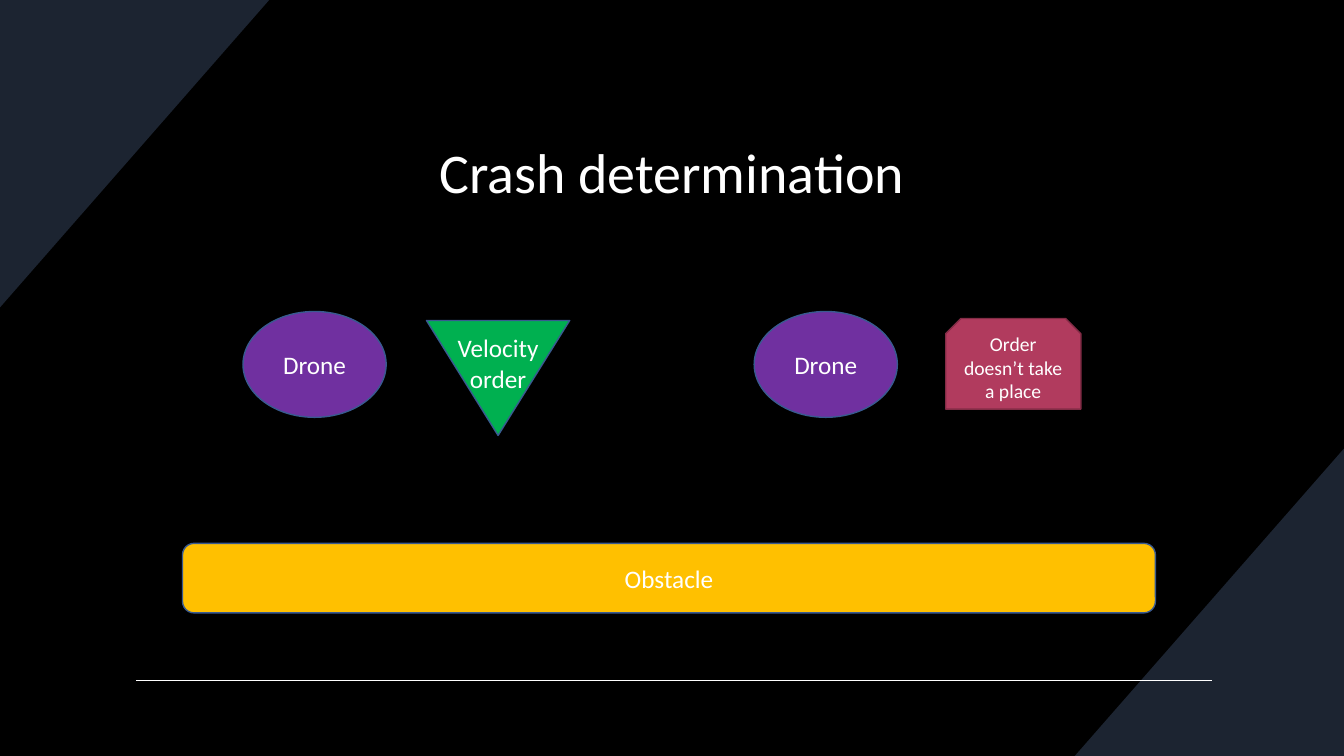
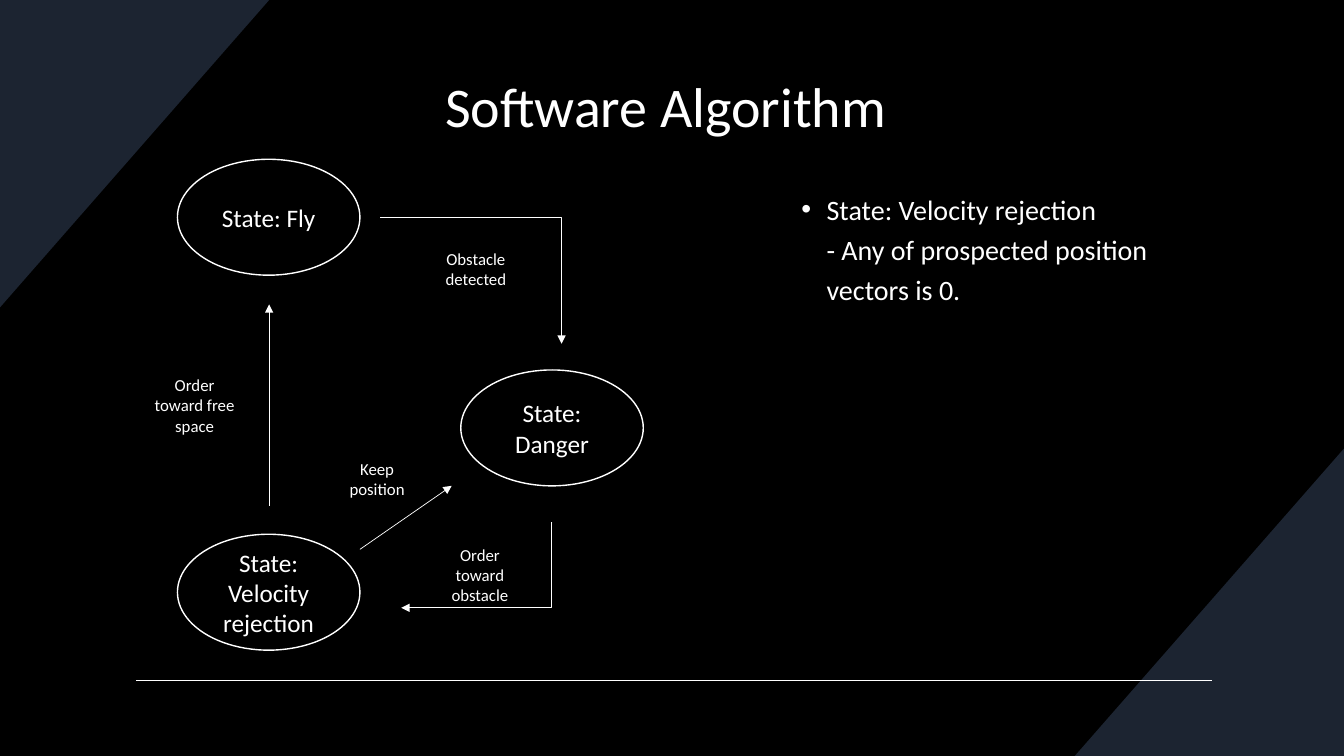
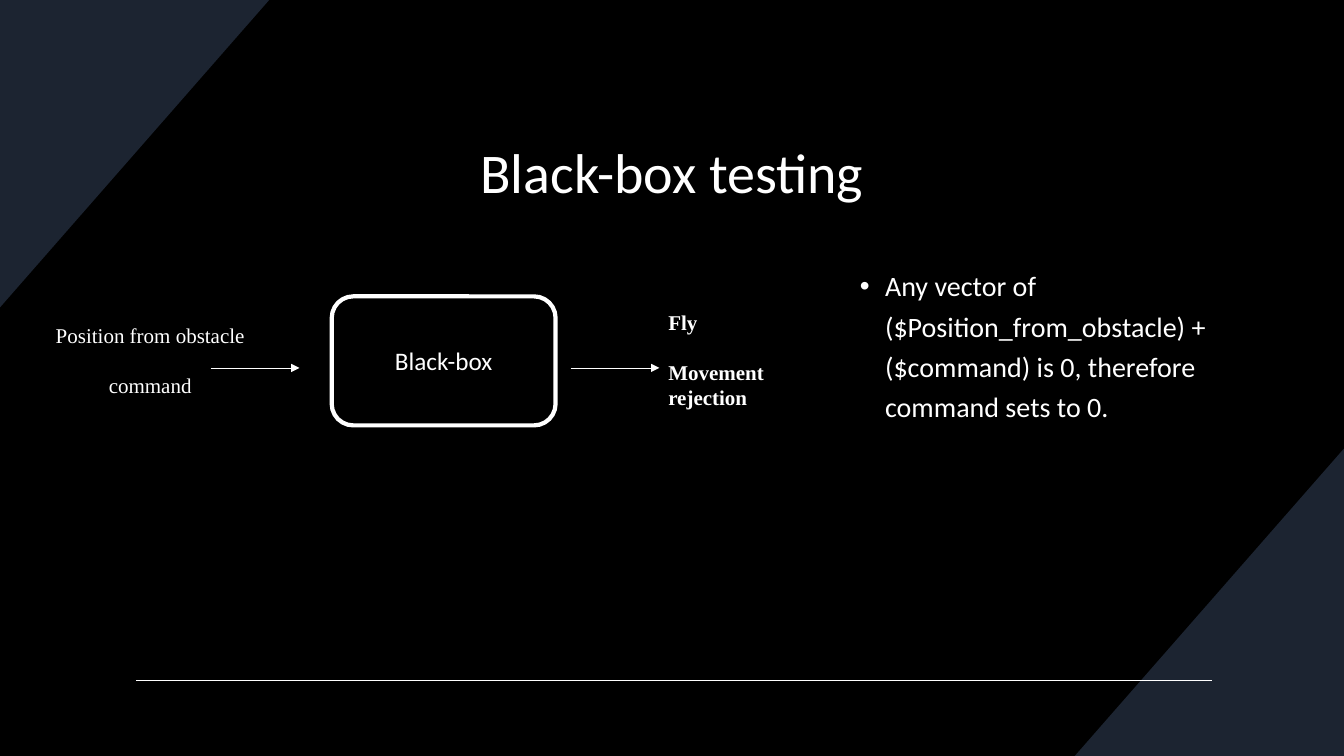
from pptx import Presentation
from pptx.dml.color import RGBColor
from pptx.enum.shapes import MSO_CONNECTOR as LINK, MSO_SHAPE as SHAPE
from pptx.enum.text import MSO_ANCHOR as ANCHOR, PP_ALIGN as ALIGN
from pptx.oxml.ns import qn
from pptx.util import Pt
from lxml.etree import SubElement

PX = 9144
WIDTH, HEIGHT = 1333, 750
BLACK, WHITE, NAVY, BORDER = "000000", "FFFFFF", "1C2431", "395A90"
PURPLE, GREEN, AMBER = "7030A0", "00B050", "FFC000"
ROSE, DARK_ROSE = "B13B5E", "832C46"


def color(value):
    """Return the colour for a hex string."""
    return RGBColor.from_string(value)


class Deck:
    """Hold the shared style and the slide being built."""

    def __init__(self):
        """Open an empty widescreen presentation."""
        self.file = Presentation()
        self.file.slide_width, self.file.slide_height = WIDTH * PX, HEIGHT * PX
        self.slide = None

    def new_slide(self, title, title_top=95):
        """Start a slide with backdrop, corners, footer rule and title."""
        self.slide = self.file.slides.add_slide(self.file.slide_layouts[6])
        backdrop = self.slide.background.fill
        backdrop.solid()
        backdrop.fore_color.rgb = color(BLACK)
        corner = [(0, 305), (0, 0), (267, 0)]
        self.wing([(WIDTH - x, HEIGHT - y) for x, y in corner])
        self.wing(corner)
        self.line((135, 675), (1202, 675), weight=1, arrow=False)
        self.text((125, title_top, 1083, 149), title, size=40, anchor=ANCHOR.MIDDLE)

    def wing(self, points):
        """Draw one dark corner triangle."""
        outline = self.slide.shapes.build_freeform(*points[0], scale=PX)
        outline.add_line_segments(points[1:], close=True)
        self.paint(outline.convert_to_shape(), NAVY)

    def paint(self, shape, fill, border=None, weight=1):
        """Give a shape its fill and border without a shadow."""
        shape.shadow.inherit = False
        shape.fill.solid()
        shape.fill.fore_color.rgb = color(fill)
        if border:
            shape.line.color.rgb = color(border)
            shape.line.width = Pt(weight)
        else:
            shape.line.fill.background()

    def set_words(self, frame, words, size, align=ALIGN.CENTER, font="Calibri", bold=False, gap=0):
        """Fill a text frame and format its paragraphs and runs."""
        frame.word_wrap = True
        frame.text = words
        for number, paragraph in enumerate(frame.paragraphs):
            paragraph.alignment = align
            if number:
                paragraph.space_before = Pt(gap)
            for run in paragraph.runs:
                run.font.name, run.font.size, run.font.bold = font, Pt(size), bold
                run.font.color.rgb = color(WHITE)

    def shape(self, kind, box, fill, words="", border=BORDER, weight=1, size=18, turn=0):
        """Add a preset shape with centred text."""
        shape = self.slide.shapes.add_shape(kind, *(n * PX for n in box))
        shape.rotation = turn
        self.paint(shape, fill, border, weight)
        if words:
            shape.text_frame.vertical_anchor = ANCHOR.MIDDLE
            self.set_words(shape.text_frame, words, size)

    def text(self, box, words, size=12, anchor=ANCHOR.TOP, **style):
        """Add a text box and return its frame."""
        frame = self.slide.shapes.add_textbox(*(n * PX for n in box)).text_frame
        frame.vertical_anchor = anchor
        self.set_words(frame, words, size, **style)
        return frame

    def bullet(self, box, words):
        """Add a bulleted note."""
        note = self.text(box, words, size=20, align=ALIGN.LEFT).paragraphs[0]
        note.line_spacing, note.space_before = 1.2, Pt(10)
        properties = note._p.get_or_add_pPr()
        properties.set("marL", str(25 * PX))
        properties.set("indent", str(-25 * PX))
        SubElement(properties, qn("a:buFont"), typeface="Arial")
        SubElement(properties, qn("a:buChar"), char="•")

    def line(self, start, end, weight=0.5, arrow=True, bend=None):
        """Add a straight line, or an elbow turning at a percentage of its width."""
        kind = LINK.STRAIGHT if bend is None else LINK.ELBOW
        link = self.slide.shapes.add_connector(kind, *(n * PX for n in start + end))
        link.line.color.rgb = color(WHITE)
        link.line.width = Pt(weight)
        properties = link._element.spPr
        if bend is not None:
            guides = properties.find(qn("a:prstGeom")).get_or_add_avLst()
            SubElement(guides, qn("a:gd"), name="adj1", fmla=f"val {bend * 1000}")
        if arrow:
            SubElement(properties.find(qn("a:ln")), qn("a:tailEnd"), type="triangle")
        SubElement(properties, qn("a:effectLst"))


def crash_slide(deck):
    """Build the crash determination slide."""
    deck.new_slide("Crash determination")
    for left in (748, 241):
        deck.shape(SHAPE.OVAL, (left, 309, 142, 105), PURPLE, "Drone")
    deck.shape(SHAPE.ISOSCELES_TRIANGLE, (423, 318, 142, 114), GREEN, turn=180)
    deck.text((434, 325, 120, 71), "Velocity order", size=18)
    deck.shape(SHAPE.ROUNDED_RECTANGLE, (181, 539, 965, 69), AMBER, "Obstacle")
    deck.shape(SHAPE.SNIP_2_SAME_RECTANGLE, (938, 316, 134, 90), ROSE,
               "Order doesn’t take a place", border=DARK_ROSE, size=14)


def algorithm_slide(deck):
    """Build the state diagram slide."""
    deck.new_slide("Software Algorithm ", title_top=30)
    deck.bullet((785, 179, 423, 466),
                "State: Velocity rejection\v- Any of prospected position vectors is 0.")
    states = [(176, 158, "Fly"), (457, 367, "Danger"), (176, 530, "Velocity rejection")]
    for left, top, state in states:
        deck.shape(SHAPE.OVAL, (left, top, 181, 115), BLACK, f"State: {state}", border=WHITE)
    deck.line((267, 502), (267, 302))
    deck.line((377, 216), (557, 341), bend=100)
    deck.line((548, 518), (398, 603), bend=1)
    deck.line((357, 545), (448, 482))
    transitions = [
        (421, 242, 50, "Obstacle detected"),
        (425, 535, 71, "Order toward obstacle"),
        (323, 450, 50, "Keep position"),
        (142, 367, 71, "Order toward free space"),
    ]
    for left, top, height, transition in transitions:
        deck.text((left, top, 102, height), transition)


def testing_slide(deck):
    """Build the black-box testing slide."""
    deck.new_slide("Black-box testing")
    deck.bullet((843, 255, 366, 390),
                "Any vector of ($Position_from_obstacle) + ($command) is 0, "
                "therefore command sets to 0.")
    deck.shape(SHAPE.ROUNDED_RECTANGLE, (329, 294, 222, 128), BLACK, "Black-box",
               border=WHITE, weight=3)
    for left in (566, 209):
        deck.line((left, 365), (left + 88, 365))
    serif = {"size": 15, "font": "Times New Roman", "gap": 18}
    deck.text((38, 315, 222, 86), "Position from obstacle\ncommand", **serif)
    deck.text((653, 302, 148, 111), "Fly\nMovement rejection",
              align=ALIGN.LEFT, bold=True, **serif)


def main():
    """Build and save the presentation."""
    deck = Deck()
    crash_slide(deck)
    algorithm_slide(deck)
    testing_slide(deck)
    deck.file.save("out.pptx")


if __name__ == "__main__":
    main()
